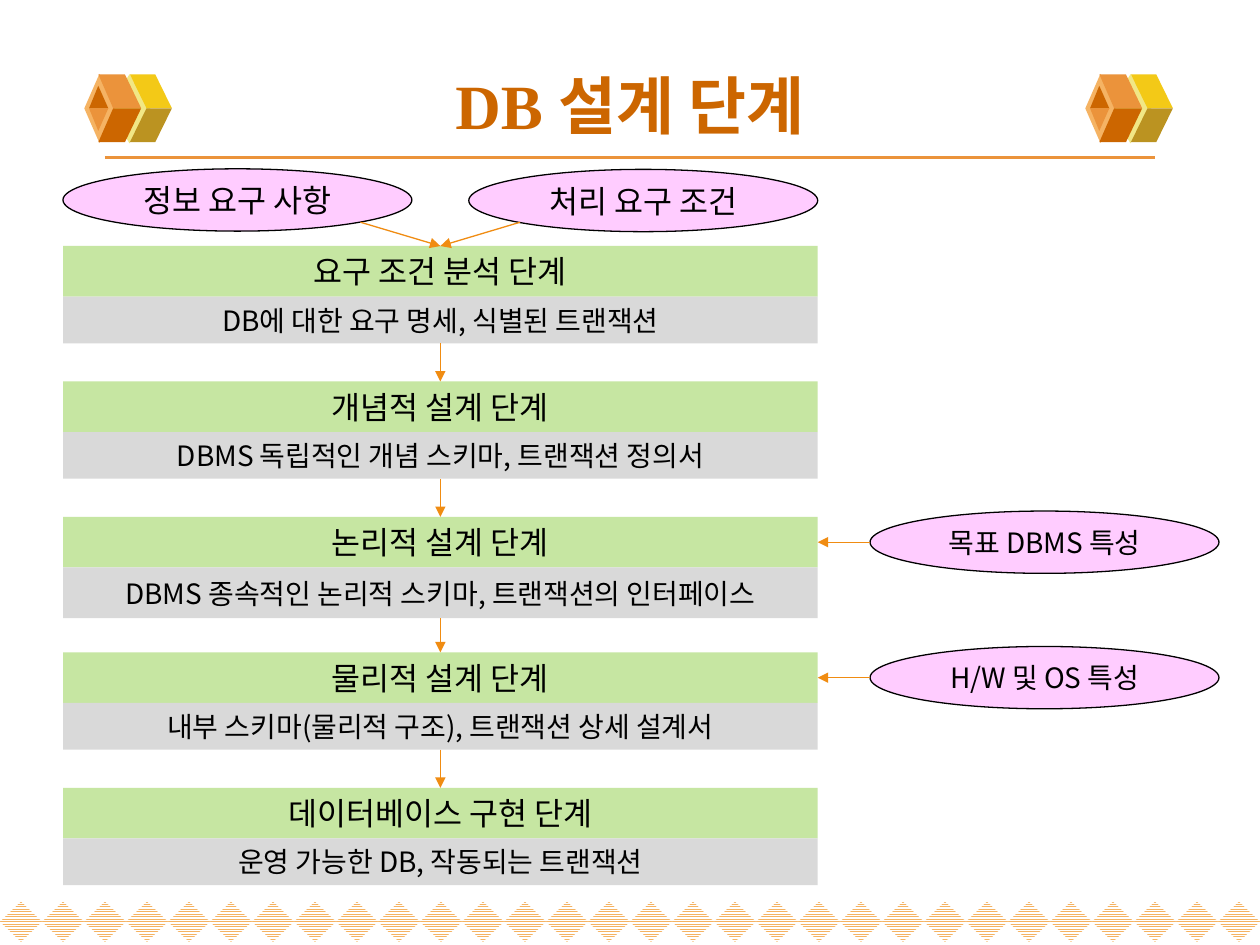
from lxml.etree import SubElement
from pptx import Presentation
from pptx.dml.color import RGBColor
from pptx.enum.dml import MSO_PATTERN
from pptx.enum.shapes import MSO_CONNECTOR, MSO_SHAPE
from pptx.enum.text import MSO_ANCHOR, MSO_AUTO_SIZE, PP_ALIGN
from pptx.oxml.ns import qn
from pptx.util import Pt

COLORS = {
    "title": "CC6600", "text": "000000", "heading": "C6E6A2",
    "output": "D9D9D9", "input": "FFCCFF", "arrow": "F08C12",
    "rule": "EB933B", "pattern": "F5B363", "white": "FFFFFF",
    "cream": "F1E785", "yellow": "F3C917", "olive": "BB9321",
    "peach": "F5B363", "orange": "EB933B", "brown": "CC6600",
}
SANS, SERIF = "Noto Sans CJK KR", "Times New Roman"
LEFT, WIDTH = 36, 431.3
CENTER, RIGHT = LEFT + WIDTH / 2, LEFT + WIDTH
FIRST_TOP, STAGE_STEP = 140.6, 77.4
HEADING_H, OUTPUT_H = 28.9, 26.7
OVAL_W, OVAL_H = 199.4, 35.6
SIDE_LEFT = 497.2

# heading, output, output height
STAGES = [
    ("요구 조건 분석 단계", "DB에 대한 요구 명세, 식별된 트랜잭션", OUTPUT_H),
    ("개념적 설계 단계", "DBMS 독립적인 개념 스키마, 트랜잭션 정의서", OUTPUT_H),
    ("논리적 설계 단계", "DBMS 종속적인 논리적 스키마, 트랜잭션의 인터페이스", HEADING_H),
    ("물리적 설계 단계", "내부 스키마(물리적 구조), 트랜잭션 상세 설계서", OUTPUT_H),
    ("데이터베이스 구현 단계", "운영 가능한 DB, 작동되는 트랜잭션", OUTPUT_H),
]


def color(name):
    """Return the named colour."""
    return RGBColor.from_string(COLORS[name])


def write(shape, text, size, font=SANS, ink="text", bold=False):
    """Put one centred run into a shape."""
    frame = shape.text_frame
    frame.word_wrap = True
    frame.auto_size = MSO_AUTO_SIZE.NONE
    frame.vertical_anchor = MSO_ANCHOR.MIDDLE
    frame.margin_top = frame.margin_bottom = 0
    para = frame.paragraphs[0]
    para.alignment = PP_ALIGN.CENTER
    span = para.add_run()
    span.text = text
    span.font.name, span.font.size = font, Pt(size)
    span.font.bold = bold
    span.font.color.rgb = color(ink)
    SubElement(span.font._element, qn("a:ea")).set("typeface", SANS)


def paint(shape, fill):
    """Give a shape a plain fill with no line or shadow."""
    shape.shadow.inherit = False
    shape.fill.solid()
    shape.fill.fore_color.rgb = color(fill)
    shape.line.fill.background()


def add_box(page, kind, at, fill):
    """Add a plain preset shape at left, top, width, height."""
    box = page.shapes.add_shape(kind, *map(Pt, at))
    paint(box, fill)
    return box


def add_polygon(page, points, fill):
    """Add a closed outline through the points."""
    start, *rest = [(Pt(x), Pt(y)) for x, y in points]
    builder = page.shapes.build_freeform(*start, scale=1.0)
    builder.add_line_segments(rest, close=True)
    paint(builder.convert_to_shape(), fill)


def add_line(page, start, end, ink, width, arrow=False):
    """Add a straight connector, with an arrowhead if asked."""
    line = page.shapes.add_connector(
        MSO_CONNECTOR.STRAIGHT, *map(Pt, (*start, *end)))
    line.line.color.rgb = color(ink)
    line.line.width = Pt(width)
    if arrow:
        SubElement(line.line._get_or_add_ln(), qn("a:tailEnd")).set("type", "triangle")
    SubElement(line._element.spPr, qn("a:effectLst"))
    return line


def add_oval(page, left, top, text, size):
    """Add an outlined input oval."""
    oval = add_box(page, MSO_SHAPE.OVAL, (left, top, OVAL_W, OVAL_H), "input")
    oval.line.color.rgb = color("text")
    oval.line.width = Pt(0.75)
    write(oval, text, size)


def add_ornament(page, left, top=42.2):
    """Add a faceted block; its lower half mirrors the upper one."""
    upper = [
        ([(35.5, 19.7), (50, 19.7), (40.5, 0.3), (26, 0.3)], "yellow", "olive"),
        ([(16.5, 19.7), (32.5, 19.7), (23.2, 0.3), (8, 0.3)], "orange", "brown"),
        ([(8, 6.8), (2.7, 19.7), (13.7, 19.7)], "brown", "orange"),
    ]
    backs = [((13.9, 0.2, 23.8, 39.5), "cream"), ((0, 0, 17.3, 39.5), "peach"), None]
    for (points, above, below), back in zip(upper, backs):
        if back:
            (x, y, width, height), fill = back
            add_box(page, MSO_SHAPE.DIAMOND, (left + x, top + y, width, height), fill)
        add_polygon(page, [(left + x, top + y) for x, y in points], above)
        add_polygon(page, [(left + x, top + 39.4 - y) for x, y in points], below)


def add_border(page, count=30):
    """Add the row of striped diamonds along the bottom."""
    step = 720 / count
    for i in range(count):
        fill = add_box(page, MSO_SHAPE.DIAMOND, (i * step, 515.2, step, 23), "white").fill
        fill.patterned()
        fill.pattern = MSO_PATTERN.NARROW_HORIZONTAL
        fill.fore_color.rgb = color("pattern")
        fill.back_color.rgb = color("white")


def add_title(page, text):
    """Place and format the title."""
    title = page.shapes.title
    title.left, title.top, title.width, title.height = map(Pt, (36, 29, 648, 61))
    write(title, text, 36, SERIF, "title", True)


def add_stages(page):
    """Add the stages, joined by arrows, and return their headings."""
    headings, previous = [], None
    for i, (name, result, height) in enumerate(STAGES):
        top = FIRST_TOP + i * STAGE_STEP
        heading = add_box(page, MSO_SHAPE.RECTANGLE, (LEFT, top, WIDTH, HEADING_H), "heading")
        write(heading, name, 18)
        output = add_box(page, MSO_SHAPE.RECTANGLE,
                         (LEFT, top + HEADING_H, WIDTH, height), "output")
        write(output, result, 16)
        if previous:
            arrow = add_line(page, (CENTER, top - 20), (CENTER, top), "arrow", 0.75, True)
            arrow.begin_connect(previous, 2)
            arrow.end_connect(heading, 0)
        headings.append(heading)
        previous = output
    return headings


def add_inputs(page, headings):
    """Add the input ovals and their arrows into the stages."""
    add_oval(page, LEFT, 96.5, "정보 요구 사항", 18)
    add_oval(page, RIGHT - OVAL_W, 96.8, "처리 요구 조건", 18)
    for x in (206, 297.2):
        arrow = add_line(page, (x, 127), (CENTER, FIRST_TOP), "arrow", 0.75, True)
        arrow.end_connect(headings[0], 0)
    for i, text in ((2, "목표 DBMS 특성"), (3, "H/W 및 OS 특성")):
        middle = FIRST_TOP + i * STAGE_STEP + HEADING_H / 2
        add_oval(page, SIDE_LEFT, middle - OVAL_H / 2, text, 16)
        arrow = add_line(page, (SIDE_LEFT, middle), (RIGHT, middle), "arrow", 0.75, True)
        arrow.end_connect(headings[i], 3)


def main():
    """Build the slide and save it."""
    deck = Presentation()
    deck.slide_width, deck.slide_height = Pt(720), Pt(540)
    page = deck.slides.add_slide(deck.slide_layouts[5])
    add_border(page)
    add_line(page, (60, 90), (660, 90), "rule", 2.25)
    for left in (48.2, 620.2):
        add_ornament(page, left)
    add_title(page, "DB 설계 단계")
    add_inputs(page, add_stages(page))
    deck.save("out.pptx")


main()
